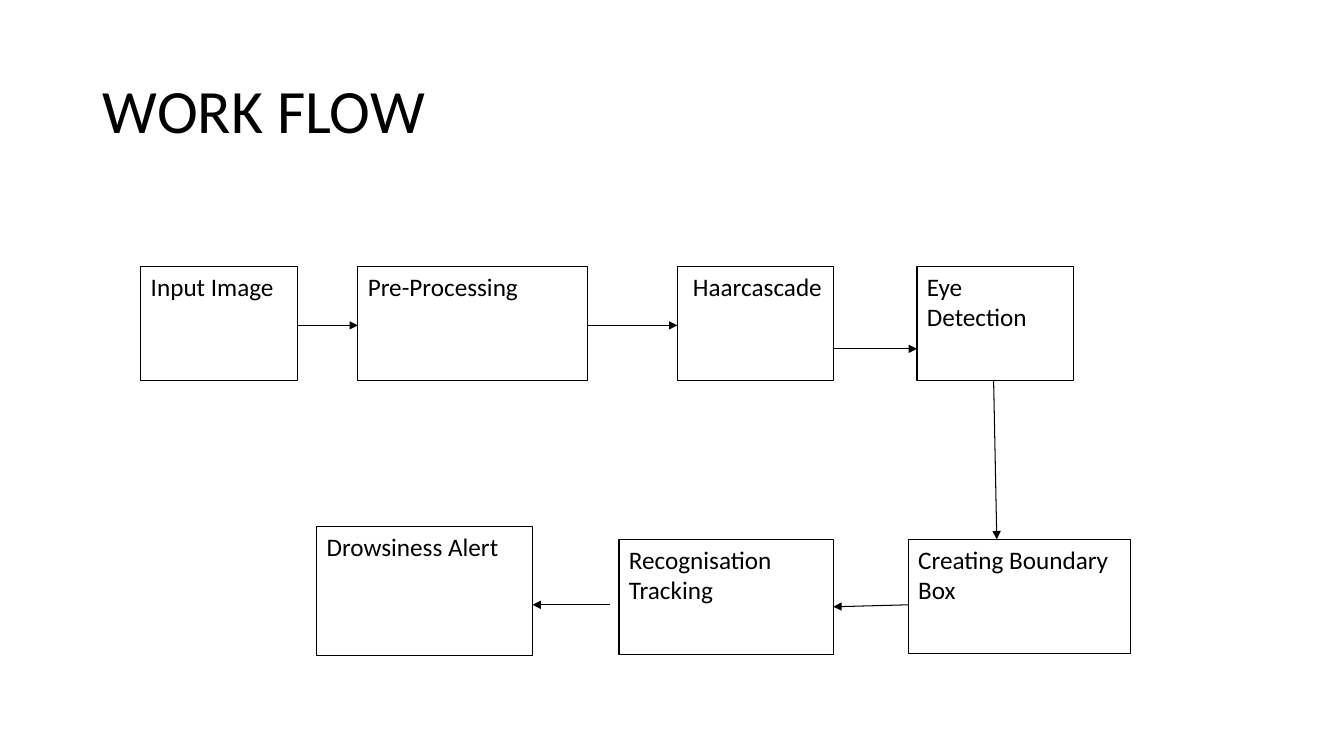
from lxml import etree
from pptx import Presentation
from pptx import util as u
from pptx.dml.color import RGBColor
from pptx.enum import shapes, text
from pptx.oxml.ns import qn

BLACK = "000000"
WHITE = "FFFFFF"
TOP_ROW = 6.71
BOTTOM_ROW = 13.59
BOX_HEIGHT = 2.87
NARROW = 3.94


def color(hex_value):
    return RGBColor.from_string(hex_value)


def format_text(paragraph, size):
    paragraph.alignment = text.PP_ALIGN.LEFT
    for run in paragraph.runs:
        run.font.name = "Calibri"
        run.font.size = u.Pt(size)
        run.font.color.rgb = color(BLACK)


def set_outline(line):
    line.color.rgb = color(BLACK)
    line.width = u.Pt(0.75)


def set_title(slide, wording):
    title = slide.shapes.title
    title.left, title.top = u.Cm(2.34), u.Cm(1.02)
    title.width, title.height = u.Cm(29.21), u.Cm(3.68)
    frame = title.text_frame
    frame.text = wording
    frame.auto_size = text.MSO_AUTO_SIZE.NONE
    frame.vertical_anchor = text.MSO_ANCHOR.MIDDLE
    frame.paragraphs[0].line_spacing = 0.9
    format_text(frame.paragraphs[0], 44)


def add_step(diagram, wording, left, top, width, height=BOX_HEIGHT):
    shape = diagram.shapes.add_shape(
        shapes.MSO_SHAPE.RECTANGLE,
        u.Cm(left), u.Cm(top), u.Cm(width), u.Cm(height))
    shape.shadow.inherit = False
    shape.fill.solid()
    shape.fill.fore_color.rgb = color(WHITE)
    set_outline(shape.line)
    frame = shape.text_frame
    frame.text = wording
    frame.word_wrap = True
    frame.vertical_anchor = text.MSO_ANCHOR.TOP
    format_text(frame.paragraphs[0], 18)
    return shape


def add_arrow(diagram, start_x, start_y, end_x, end_y):
    arrow = diagram.shapes.add_connector(
        shapes.MSO_CONNECTOR.STRAIGHT, start_x, start_y, end_x, end_y)
    set_outline(arrow.line)
    etree.SubElement(arrow.line._get_or_add_ln(), qn("a:tailEnd"), type="triangle")
    etree.SubElement(arrow._element.spPr, qn("a:effectLst"))


def right_edge(shape):
    return shape.left + shape.width


def main():
    presentation = Presentation()
    presentation.slide_width = u.Cm(33.87)
    presentation.slide_height = u.Cm(19.05)
    slide = presentation.slides.add_slide(presentation.slide_layouts[5])
    set_title(slide, "WORK FLOW")

    diagram = slide.shapes.add_group_shape()
    source = add_step(diagram, "Input Image", 3.55, TOP_ROW, NARROW)
    alert = add_step(diagram, "Drowsiness Alert", 7.98, 13.26, 5.44, 3.25)
    tracking = add_step(diagram, "Recognisation Tracking", 15.6, BOTTOM_ROW, 5.4, 2.9)
    boundary = add_step(diagram, "Creating Boundary Box", 22.89, BOTTOM_ROW, 5.59)
    processing = add_step(diagram, "Pre-Processing", 9.02, TOP_ROW, 5.79)
    cascade = add_step(diagram, " Haarcascade", 17.07, TOP_ROW, NARROW)
    eyes = add_step(diagram, "Eye Detection", 23.11, TOP_ROW, NARROW)

    for before, after, y in ((source, processing, 8.2),
                             (processing, cascade, 8.2),
                             (cascade, eyes, 8.79)):
        add_arrow(diagram, right_edge(before), u.Cm(y), after.left, u.Cm(y))
    add_arrow(diagram, u.Cm(25.04), eyes.top + eyes.height, u.Cm(25.12), boundary.top)
    add_arrow(diagram, boundary.left, u.Cm(15.24), right_edge(tracking), u.Cm(15.29))
    add_arrow(diagram, u.Cm(15.37), u.Cm(15.24), right_edge(alert), u.Cm(15.24))

    presentation.save("out.pptx")


if __name__ == "__main__":
    main()
